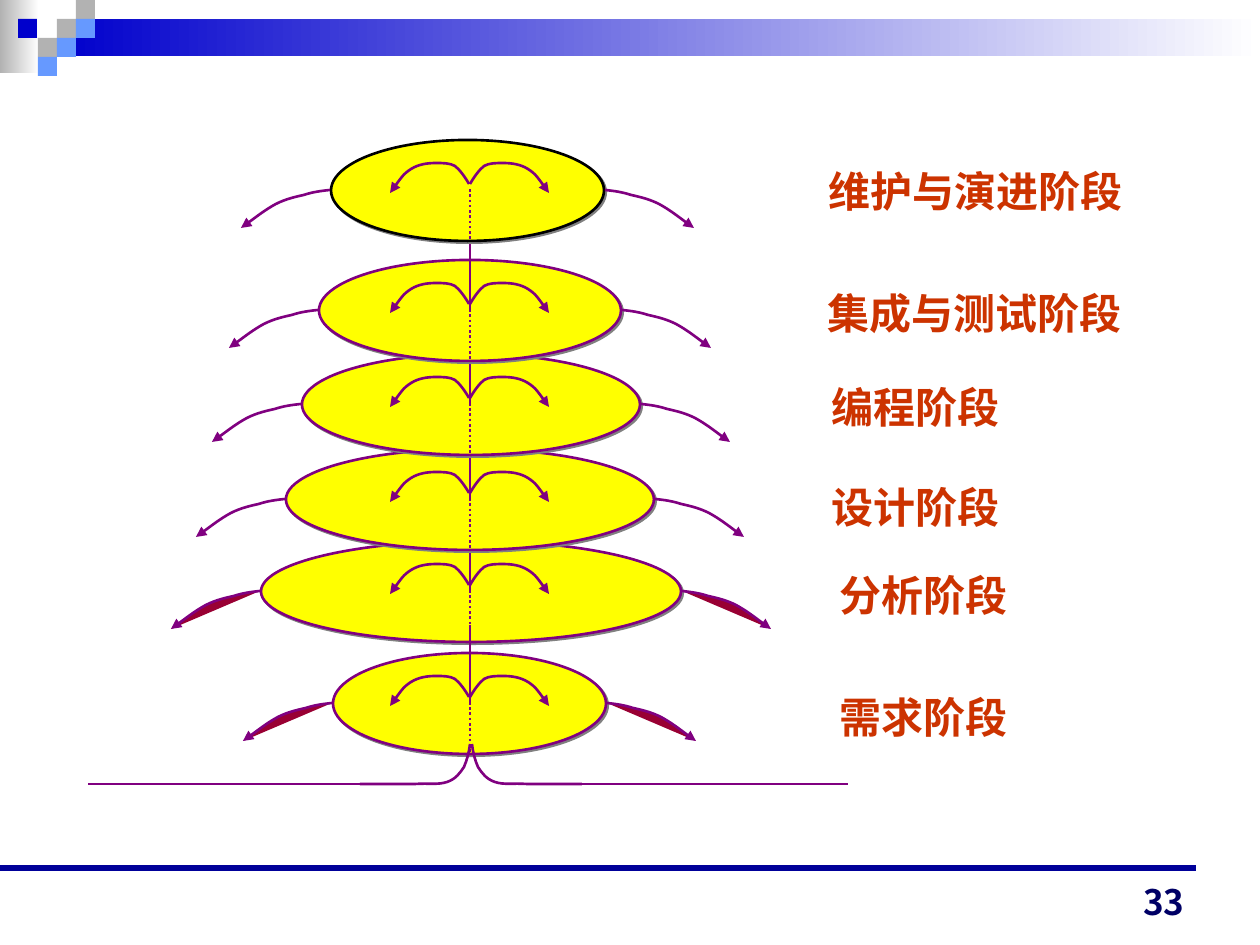
import pptx
import pptx.util
import pptx.oxml
import pptx.oxml.ns
from pptx.dml.color import RGBColor
from pptx.enum.dml import MSO_LINE
from pptx.enum.shapes import MSO_CONNECTOR, MSO_SHAPE
from pptx.enum.text import MSO_ANCHOR, PP_ALIGN
from lxml import etree

PX = pptx.util.Inches(1) / 126

WHITE = RGBColor(0xFF, 0xFF, 0xFF)
BLACK = RGBColor(0x00, 0x00, 0x00)
GRAY = RGBColor(0xB2, 0xB2, 0xB2)
BLUE = RGBColor(0x00, 0x00, 0xCC)
LIGHT_BLUE = RGBColor(0x66, 0x99, 0xFF)
RULE_BLUE = RGBColor(0x00, 0x00, 0x99)
NUMBER_BLUE = RGBColor(0x00, 0x00, 0x66)
YELLOW = RGBColor(0xFF, 0xFF, 0x00)
PURPLE = RGBColor(0x80, 0x00, 0x80)
CRIMSON = RGBColor(0x99, 0x00, 0x33)
ORANGE = RGBColor(0xCC, 0x33, 0x00)

CENTER = 470
ELLIPSE_HEIGHT = 101
LABEL_HEIGHT = 83

# Bezier points of left-hand curves, relative to their start
INNER_CURVE = [(-4, -7), (-9, -14), (-14, -18), (-19, -21), (-26, -21), (-33, -21),
               (-41, -21), (-50, -20), (-58, -15), (-66, -10), (-76, 5), (-79, 9)]
OUTER_CURVE = [(-9, 1), (-17, 2), (-26, 5), (-35, 7), (-44, 9), (-54, 14),
               (-65, 20), (-83, 34), (-89, 38)]
ROOT_CURVE = [(-1, 9), (-3, 16), (-6, 23), (-10, 29), (-14, 35), (-23, 38),
              (-32, 41), (-41, 39), (-55, 40), (-71, 40), (-100, 40), (-110, 40)]

# label, label box (left, top, width), ellipse (left, top, width),
# ellipse line, inner fill, outer fill, has a stem
STAGES = [
    ("分析阶段", (827, 563, 199), (261, 541, 420), PURPLE, YELLOW, CRIMSON, True),
    ("设计阶段", (819, 475, 204), (286, 449, 368), PURPLE, None, None, True),
    ("编程阶段", (819, 375, 217), (302, 354, 338), PURPLE, None, None, True),
    ("集成与测试阶段", (815, 281, 339), (319, 260, 302), PURPLE, None, None, True),
    ("维护与演进阶段", (816, 159, 326), (331, 140, 273), BLACK, None, None, False),
    ("需求阶段", (827, 685, 209), (333, 653, 273), PURPLE, YELLOW, CRIMSON, True),
]


def emu(*lengths):
    return [round(length * PX) for length in lengths]


def add_block(slide, box, color, fade=False):
    """Add a borderless rectangle, optionally fading to white on the right."""
    shape = slide.shapes.add_shape(MSO_SHAPE.RECTANGLE, *emu(*box))
    shape.shadow.inherit = False
    shape.line.fill.background()
    if fade:
        shape.fill.gradient()
        shape.fill.gradient_angle = 180
        for stop, position, stop_color in zip(shape.fill.gradient_stops, (0, 1), (WHITE, color)):
            stop.position = position
            stop.color.rgb = stop_color
    else:
        shape.fill.solid()
        shape.fill.fore_color.rgb = color


def add_line(slide, start, end, color=PURPLE, width=1.5, dotted=False):
    line = slide.shapes.add_connector(MSO_CONNECTOR.STRAIGHT, *emu(*start, *end))
    line.line.color.rgb = color
    line.line.width = pptx.util.Pt(width)
    if dotted:
        line.line.dash_style = MSO_LINE.ROUND_DOT
    etree.SubElement(line.element.spPr, pptx.oxml.ns.qn("a:effectLst"))


def add_curve(slide, start, offsets, side=-1, fill=None, arrow=True):
    """Add a Bezier curve to the left (side -1) or mirrored to the right (side 1)."""
    x, y = start
    points = [(x - side * dx, y + dy) for dx, dy in offsets]
    builder = slide.shapes.build_freeform(x, y, scale=PX)
    builder.add_line_segments(points, close=False)
    shape = builder.convert_to_shape()
    shape.shadow.inherit = False
    if fill is None:
        shape.fill.background()
    else:
        shape.fill.solid()
        shape.fill.fore_color.rgb = fill
    shape.line.color.rgb = PURPLE
    shape.line.width = pptx.util.Pt(1.5)

    qn = pptx.oxml.ns.qn
    outline = next(shape.element.iter(qn("a:path")))
    segments = outline.findall(qn("a:lnTo"))
    for index in range(0, len(segments), 3):
        bezier = etree.SubElement(outline, qn("a:cubicBezTo"))
        for segment in segments[index:index + 3]:
            bezier.append(segment[0])
            outline.remove(segment)
    if arrow:
        etree.SubElement(shape.line._get_or_add_ln(), qn("a:tailEnd"), type="triangle")


def add_ellipse(slide, box, line_color):
    shape = slide.shapes.add_shape(MSO_SHAPE.OVAL, *emu(*box))
    shape.fill.solid()
    shape.fill.fore_color.rgb = YELLOW
    shape.line.color.rgb = line_color
    shape.line.width = pptx.util.Pt(1.5)
    shape.shadow.inherit = False
    qn = pptx.oxml.ns.qn
    effects = shape.element.spPr.find(qn("a:effectLst"))
    shadow = etree.SubElement(effects, qn("a:outerShdw"), dist="17961", dir="2700000",
                              algn="ctr", rotWithShape="0")
    etree.SubElement(shadow, qn("a:srgbClr"), val="808080")


def add_text(slide, box, text, font, size, color, alignment, anchor=MSO_ANCHOR.TOP):
    shape = slide.shapes.add_textbox(*emu(*box))
    frame = shape.text_frame
    frame.word_wrap = True
    frame.vertical_anchor = anchor
    paragraph = frame.paragraphs[0]
    paragraph.alignment = alignment
    run = paragraph.add_run()
    run.text = text
    run.font.name = font
    run.font.size = pptx.util.Pt(size)
    run.font.bold = True
    run.font.color.rgb = color
    return shape


def add_stage(slide, label, label_box, ellipse, line_color, inner_fill, outer_fill, has_stem):
    left, top, width = ellipse
    middle = top + 49
    add_ellipse(slide, (left, top, width, ELLIPSE_HEIGHT), line_color)
    for side in (-1, 1):
        add_curve(slide, (CENTER + (side - 1) // 2, top + 44), INNER_CURVE, side, inner_fill)
    if has_stem:
        add_line(slide, (CENTER, top - 28), (CENTER, middle))
    add_line(slide, (CENTER, middle), (CENTER, top + ELLIPSE_HEIGHT), dotted=True)
    for side, x in ((-1, left - 1), (1, left + width + 1)):
        add_curve(slide, (x, top + 50), OUTER_CURVE, side, outer_fill)
    shape = add_text(slide, (*label_box, LABEL_HEIGHT), label, "Times New Roman", 24,
                     ORANGE, PP_ALIGN.JUSTIFY)
    shape.fill.solid()
    shape.fill.fore_color.rgb = WHITE


def add_header(slide):
    add_block(slide, (0, 0, 39, 73), GRAY, fade=True)
    add_block(slide, (57, 19, 1203, 37), BLUE, fade=True)
    for x, y, color in [(57, 19, GRAY), (76, 0, GRAY), (76, 19, LIGHT_BLUE), (38, 38, GRAY),
                        (18, 19, BLUE), (57, 38, LIGHT_BLUE), (38, 57, LIGHT_BLUE)]:
        add_block(slide, (x, y, 19, 19), color)


def add_ground(slide):
    for side, inner, outer in ((-1, 368, 88), (1, 570, 848)):
        add_curve(slide, (CENTER + 1 + side, 744), ROOT_CURVE, side, arrow=False)
        add_line(slide, (inner, 784), (outer, 784))


def main():
    presentation = pptx.Presentation()
    presentation.slide_width, presentation.slide_height = emu(1260, 945)
    slide = presentation.slides.add_slide(presentation.slide_layouts[6])
    add_header(slide)
    add_line(slide, (0, 868), (1196, 868), RULE_BLUE, 3)
    add_line(slide, (CENTER, 644), (CENTER, 675))
    for stage in STAGES:
        add_stage(slide, *stage)
    add_ground(slide)
    add_text(slide, (903, 872, 294, 57), "33", "Noto Sans CJK JP", 20, NUMBER_BLUE,
             PP_ALIGN.RIGHT, MSO_ANCHOR.BOTTOM)
    presentation.save("out.pptx")


if __name__ == "__main__":
    main()
